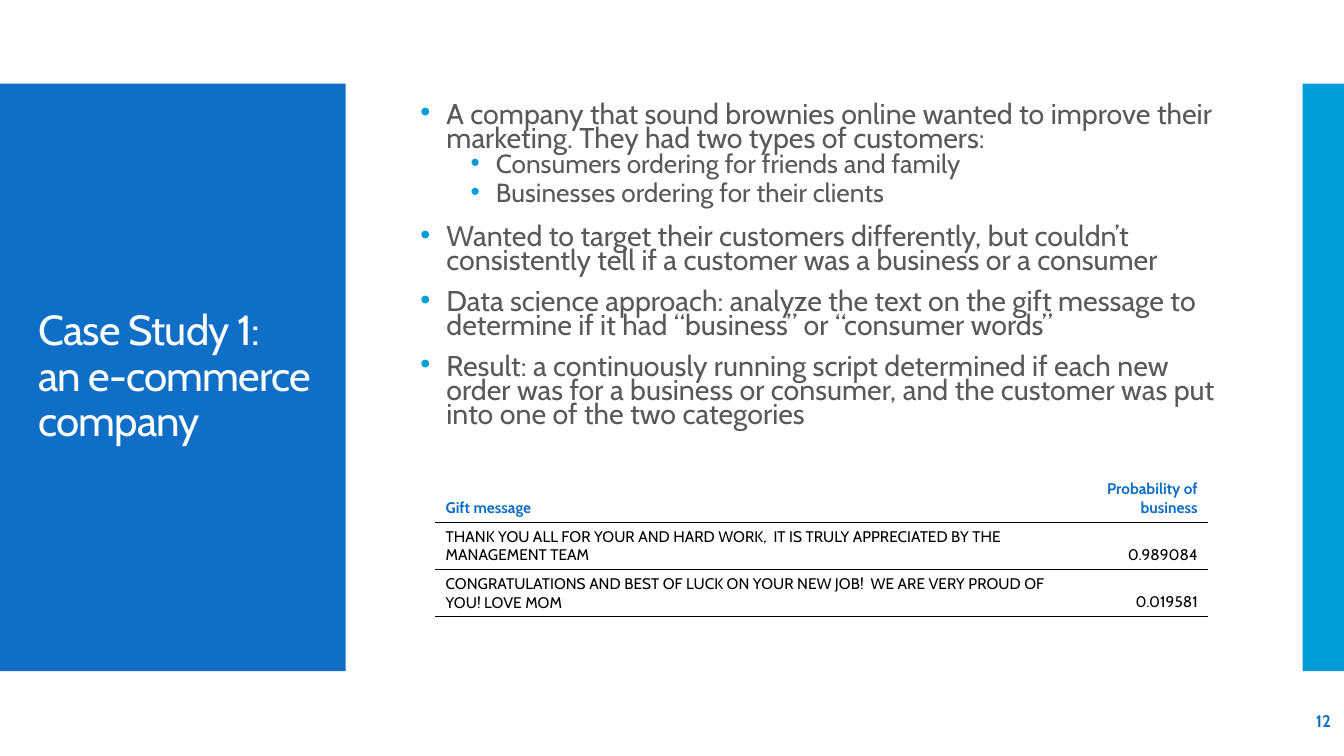
from dataclasses import dataclass

from lxml import etree
from pptx import Presentation
from pptx.dml.color import RGBColor
from pptx.enum import shapes, text
from pptx.oxml import ns
from pptx.util import Inches, Pt

FONT = "Cabin"
COLORS = {
    "blue": "0F6FC6",
    "cyan": "009DD9",
    "white": "FFFFFF",
    "gray": "595959",
    "black": "000000",
}


@dataclass
class Panel:
    left: float
    width: float
    color: str


@dataclass
class BulletStyle:
    size: float
    margin: float
    hanging: float
    before: float
    after: float


@dataclass
class Point:
    wording: str
    level: int = 0


PANELS = [Panel(0, 3.43, "blue"), Panel(12.92, 0.42, "cyan")]
BULLET_STYLES = [
    BulletStyle(20.4, 0.26, 0.26, 12, 0),
    BulletStyle(18.7, 0.75, 0.25, 2.5, 2.5),
]
POINTS = [
    Point("A company that sound brownies online wanted to improve their "
          "marketing. They had two types of customers:"),
    Point("Consumers ordering for friends and family", 1),
    Point("Businesses ordering for their clients", 1),
    Point("Wanted to target their customers differently, but couldn’t "
          "consistently tell if a customer was a business or a consumer"),
    Point("Data science approach: analyze the text on the gift message to "
          "determine if it had “business” or “consumer words”"),
    Point("Result: a continuously running script determined if each new order "
          "was for a business or consumer, and the customer was put into one "
          "of the two categories"),
]
MESSAGES = [
    ("Gift message", "Probability of business"),
    ("THANK YOU ALL FOR YOUR AND HARD WORK,  IT IS TRULY APPRECIATED BY THE "
     "MANAGEMENT TEAM", "0.989084"),
    ("CONGRATULATIONS AND BEST OF LUCK ON YOUR NEW JOB!  WE ARE VERY PROUD OF "
     "YOU! LOVE MOM", "0.019581"),
]
COLUMN_WIDTHS = [6.2, 1.46]
ROW_HEIGHT = 0.47


def rgb(color: str) -> RGBColor:
    return RGBColor.from_string(COLORS[color])


def format_runs(paragraph, size: float, color: str, bold: bool = False) -> None:
    for run in paragraph.runs:
        run.font.name = FONT
        run.font.size = Pt(size)
        run.font.bold = bold
        run.font.color.rgb = rgb(color)


def add_panel(slide, panel: Panel) -> None:
    shape = slide.shapes.add_shape(
        shapes.MSO_SHAPE.RECTANGLE, Inches(panel.left), Inches(0.83),
        Inches(panel.width), Inches(5.83))
    shape.shadow.inherit = False
    shape.fill.solid()
    shape.fill.fore_color.rgb = rgb(panel.color)
    shape.line.fill.background()


def add_bullet(paragraph, style: BulletStyle) -> None:
    properties = paragraph._p.get_or_add_pPr()
    properties.set("marL", str(Inches(style.margin)))
    properties.set("indent", str(-Inches(style.hanging)))
    bullet_color = etree.SubElement(properties, ns.qn("a:buClr"))
    etree.SubElement(bullet_color, ns.qn("a:srgbClr"), val=COLORS["cyan"])
    etree.SubElement(properties, ns.qn("a:buFont"), typeface="Arial")
    etree.SubElement(properties, ns.qn("a:buChar"), char="•")


def add_rule(cell, edge: str) -> None:
    rule = etree.Element(ns.qn(f"a:{edge}"), w=str(Pt(1)))
    fill = etree.SubElement(rule, ns.qn("a:solidFill"))
    etree.SubElement(fill, ns.qn("a:srgbClr"), val=COLORS["black"])
    cell._tc.get_or_add_tcPr().insert(0, rule)


def fill_cell(cell, wording: str, is_header: bool, is_number: bool) -> None:
    cell.fill.background()
    cell.vertical_anchor = text.MSO_ANCHOR.BOTTOM
    cell.text_frame.text = wording
    paragraph = cell.text_frame.paragraphs[0]
    if is_number:
        paragraph.alignment = text.PP_ALIGN.RIGHT
    format_runs(paragraph, 11, "blue" if is_header else "black", is_header)
    add_rule(cell, "lnB")
    if not is_header:
        add_rule(cell, "lnT")


deck = Presentation()
deck.slide_width = Inches(13.33)
deck.slide_height = Inches(7.5)
slide = deck.slides.add_slide(deck.slide_layouts[5])

# Side panels
for panel in PANELS:
    add_panel(slide, panel)

# Title, raised above the panels
title = slide.shapes.title
slide.shapes._spTree.append(title._element)
title.left, title.top = Inches(0.28), Inches(1.23)
title.width, title.height = Inches(2.9), Inches(5.03)
title.text_frame.text = "Case Study 1:\van e-commerce company"
title.text_frame.word_wrap = True
title.text_frame.auto_size = text.MSO_AUTO_SIZE.NONE
title.text_frame.vertical_anchor = text.MSO_ANCHOR.MIDDLE
heading = title.text_frame.paragraphs[0]
heading.alignment = text.PP_ALIGN.LEFT
heading.line_spacing = 0.9
format_runs(heading, 30, "white")
for run in heading.runs:
    run._r.get_or_add_rPr().set("spc", "-60")

# Case description
description = slide.shapes.add_textbox(
    Inches(4.07), Inches(0.94), Inches(8.16), Inches(3.57)).text_frame
description.word_wrap = True
description.margin_top = Inches(0.1)
description.text = "\n".join(point.wording for point in POINTS)
for point, paragraph in zip(POINTS, description.paragraphs):
    style = BULLET_STYLES[point.level]
    paragraph.level = point.level
    paragraph.line_spacing = 0.7
    paragraph.space_before = Pt(style.before)
    paragraph.space_after = Pt(style.after)
    add_bullet(paragraph, style)
    format_runs(paragraph, style.size, "gray")
description.paragraphs[0].space_before = Pt(0)

# Gift messages and their scores
table = slide.shapes.add_table(
    len(MESSAGES), len(COLUMN_WIDTHS), Inches(4.32), Inches(4.71),
    Inches(sum(COLUMN_WIDTHS)), Inches(ROW_HEIGHT * len(MESSAGES))).table
table.first_row = False
table.horz_banding = False
for column, width in zip(table.columns, COLUMN_WIDTHS):
    column.width = Inches(width)
for row_index, message in enumerate(MESSAGES):
    table.rows[row_index].height = Inches(ROW_HEIGHT)
    for column_index, wording in enumerate(message):
        fill_cell(table.cell(row_index, column_index), wording,
                  is_header=row_index == 0, is_number=column_index == 1)

# Page number
page_number = slide.shapes.add_textbox(
    Inches(11.63), Inches(6.95), Inches(1.67), Inches(0.4)).text_frame
page_number.word_wrap = True
page_number.vertical_anchor = text.MSO_ANCHOR.MIDDLE
page_number.text = "12"
page_number.paragraphs[0].alignment = text.PP_ALIGN.RIGHT
format_runs(page_number.paragraphs[0], 12, "blue", bold=True)

deck.save("out.pptx")
